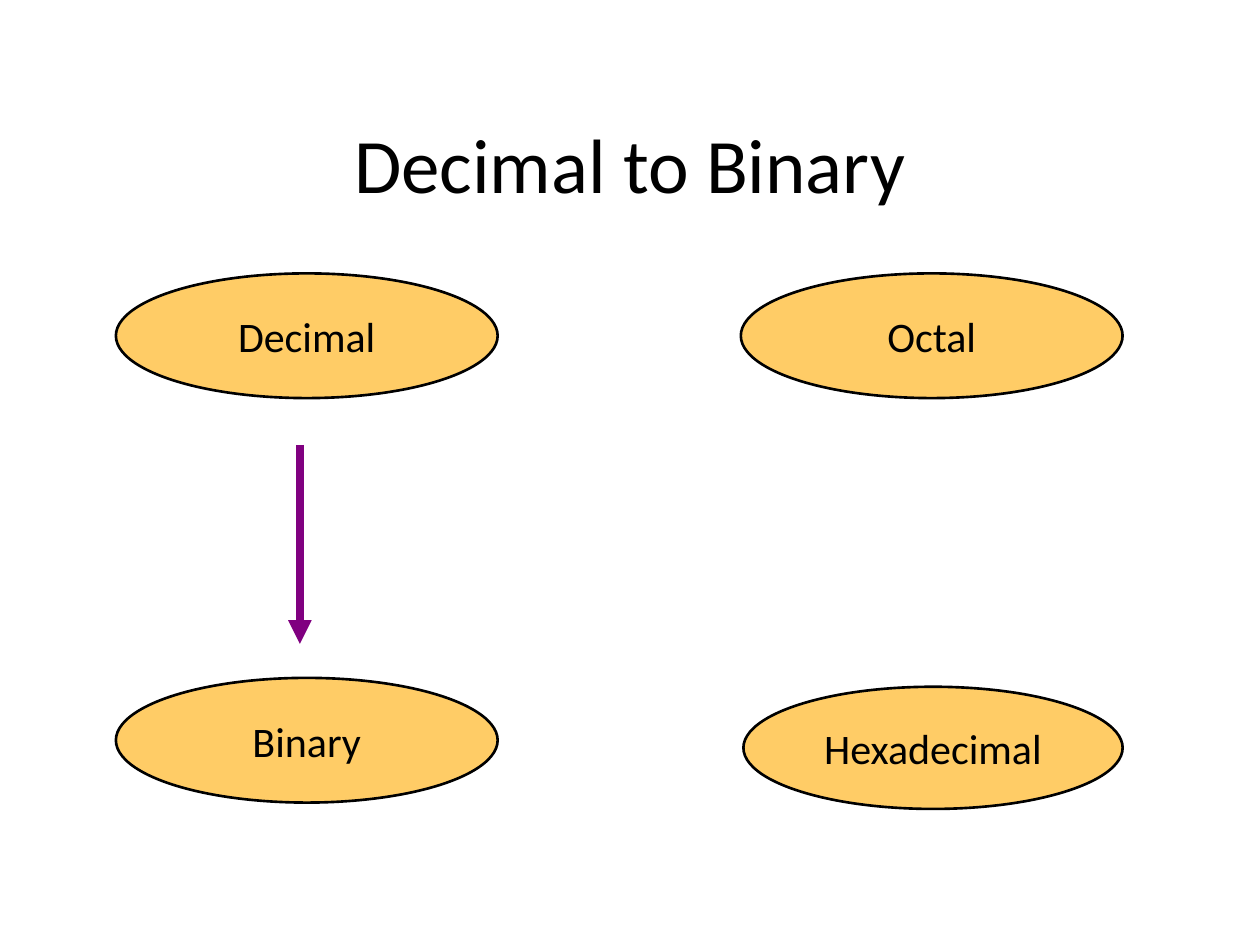
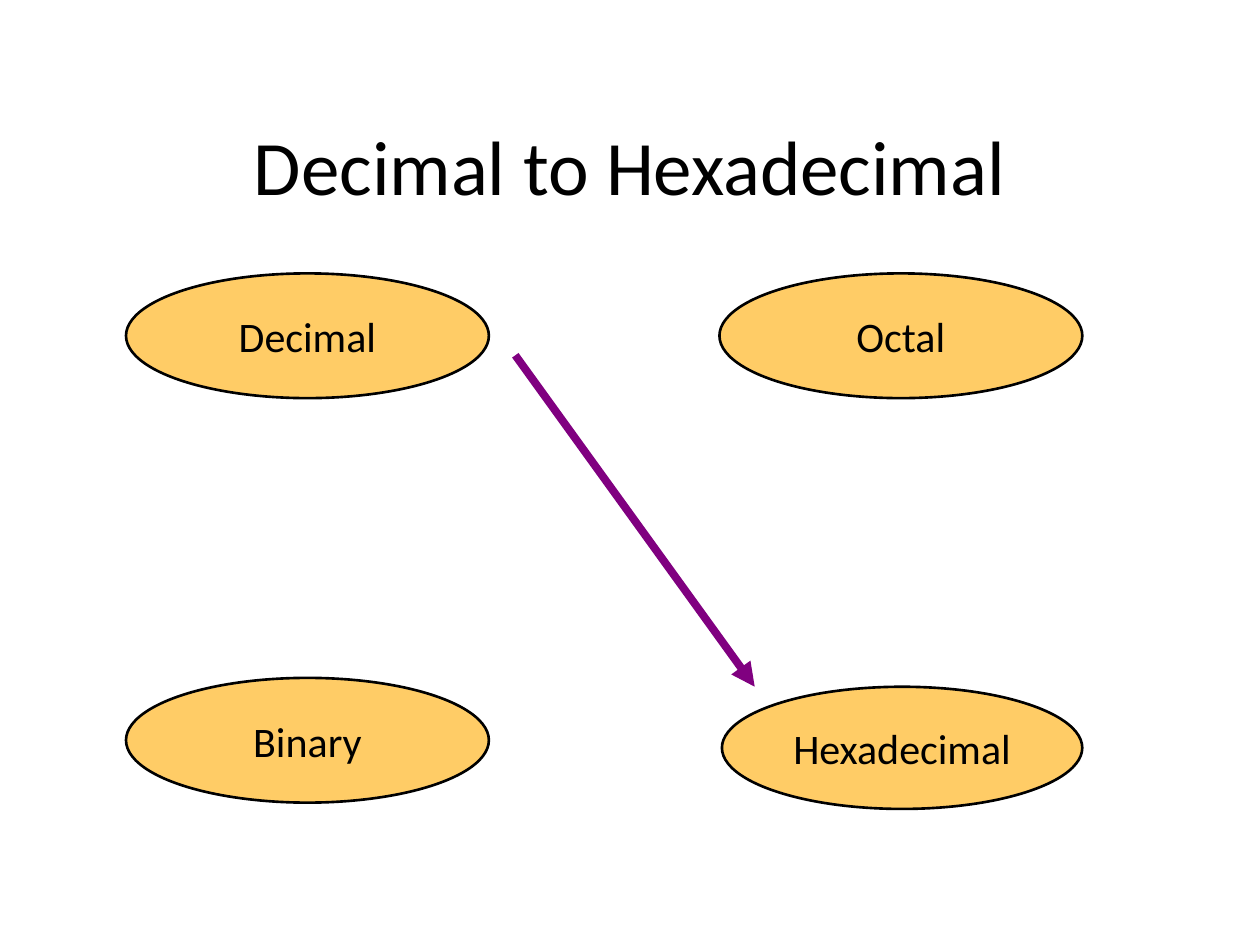
from dataclasses import dataclass

from lxml import etree
from pptx import Presentation
from pptx.dml.color import RGBColor
from pptx.enum.shapes import MSO_CONNECTOR, MSO_SHAPE
from pptx.enum.text import MSO_ANCHOR, PP_ALIGN
from pptx.oxml.ns import qn
from pptx.shapes.group import GroupShape
from pptx.text.text import TextFrame
from pptx.util import Inches, Pt

BLACK = RGBColor(0x00, 0x00, 0x00)
AMBER = RGBColor(0xFF, 0xCC, 0x66)
PURPLE = RGBColor(0x80, 0x00, 0x80)
FONT = "Calibri"

OVAL = MSO_SHAPE.OVAL
STRAIGHT = MSO_CONNECTOR.STRAIGHT
MIDDLE = MSO_ANCHOR.MIDDLE
CENTER = PP_ALIGN.CENTER

SLIDE_WIDTH = Inches(10)
SLIDE_HEIGHT = Inches(7.5)
TITLE_ONLY = 5

# Every position and size is a percentage of the slide's width or height.
TOP_ROW = 28.93
BOTTOM_ROW = 71.73
OVAL_HEIGHT = 13.2
HEXADECIMAL_TOP = 72.67
HEXADECIMAL_HEIGHT = 12.93
HEXADECIMAL_SHIFT = 0.2


@dataclass(frozen=True)
class Point:
    x: float
    y: float


@dataclass(frozen=True)
class NumberSystem:
    name: str
    left: float
    top: float
    width: float
    height: float = OVAL_HEIGHT


@dataclass(frozen=True)
class Conversion:
    title: str
    title_top: float
    left_column: float
    right_column: float
    oval_width: float
    arrow_start: Point
    arrow_end: Point

    def number_systems(self) -> list[NumberSystem]:
        left, right, width = self.left_column, self.right_column, self.oval_width
        return [
            NumberSystem("Hexadecimal", right + HEXADECIMAL_SHIFT, HEXADECIMAL_TOP,
                         width - HEXADECIMAL_SHIFT, HEXADECIMAL_HEIGHT),
            NumberSystem("Decimal", left, TOP_ROW, width),
            NumberSystem("Octal", right, TOP_ROW, width),
            NumberSystem("Binary", left, BOTTOM_ROW, width),
        ]


CONVERSIONS = [
    Conversion("Decimal to Binary", 8.93, 9.2, 58.8, 30.3,
               Point(23.8, 47.07), Point(23.8, 68.13)),
    Conversion("Decimal to Hexadecimal", 9.07, 10, 57.1, 28.8,
               Point(40.9, 37.6), Point(59.9, 72.67)),
]


def across(percent: float) -> int:
    return round(SLIDE_WIDTH * percent / 100)


def down(percent: float) -> int:
    return round(SLIDE_HEIGHT * percent / 100)


def write_text(frame: TextFrame, text: str, *, size: int, wrap: bool = True) -> None:
    frame.word_wrap = wrap
    frame.vertical_anchor = MIDDLE
    paragraph = frame.paragraphs[0]
    paragraph.alignment = CENTER
    run = paragraph.add_run()
    run.text = text
    run.font.name = FONT
    run.font.size = Pt(size)
    run.font.color.rgb = BLACK


def add_number_system(diagram: GroupShape, system: NumberSystem) -> None:
    shape = diagram.shapes.add_shape(OVAL, across(system.left), down(system.top),
                                     across(system.width), down(system.height))
    shape.shadow.inherit = False
    shape.fill.solid()
    shape.fill.fore_color.rgb = AMBER
    shape.line.color.rgb = BLACK
    shape.line.width = Pt(1.5)
    write_text(shape.text_frame, system.name, size=24, wrap=False)


def add_arrow(diagram: GroupShape, start: Point, end: Point) -> None:
    arrow = diagram.shapes.add_connector(STRAIGHT, across(start.x), down(start.y),
                                         across(end.x), down(end.y))
    arrow.line.color.rgb = PURPLE
    arrow.line.width = Pt(4.5)
    etree.SubElement(arrow.line._get_or_add_ln(), qn("a:tailEnd"), type="triangle")
    etree.SubElement(arrow._element.spPr, qn("a:effectLst"))


def add_conversion_slide(presentation: Presentation, conversion: Conversion) -> None:
    slide = presentation.slides.add_slide(presentation.slide_layouts[TITLE_ONLY])
    title = slide.shapes.title
    title.left, title.top = across(5), down(conversion.title_top)
    title.width, title.height = across(90), down(16.67)
    write_text(title.text_frame, conversion.title, size=44)

    diagram = slide.shapes.add_group_shape()
    for system in conversion.number_systems():
        add_number_system(diagram, system)
    add_arrow(diagram, conversion.arrow_start, conversion.arrow_end)


def main() -> None:
    presentation = Presentation()
    presentation.slide_width = SLIDE_WIDTH
    presentation.slide_height = SLIDE_HEIGHT
    for conversion in CONVERSIONS:
        add_conversion_slide(presentation, conversion)
    presentation.save("out.pptx")


if __name__ == "__main__":
    main()
